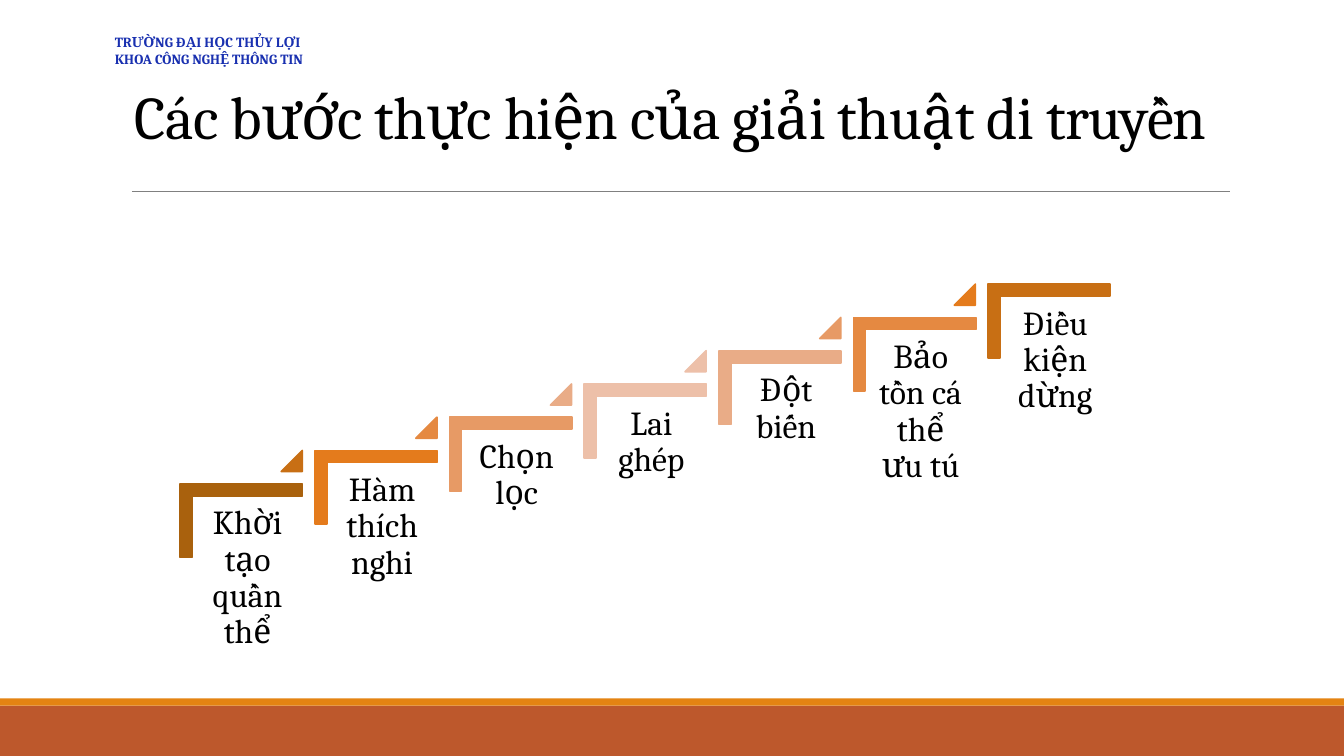
"""Build the slide listing the steps of a genetic algorithm."""
from pptx import Presentation
from pptx.dml.color import RGBColor
from pptx.enum.shapes import MSO_CONNECTOR, MSO_SHAPE
from pptx.enum.text import MSO_ANCHOR, PP_ALIGN
from pptx.oxml.ns import qn
from pptx.util import Pt
from lxml.etree import SubElement

BLACK = RGBColor(0x00, 0x00, 0x00)
GRAY = RGBColor(0x80, 0x80, 0x80)
BLUE = RGBColor(0x19, 0x30, 0xB0)
RUST = RGBColor(0xBD, 0x58, 0x2C)
AMBER = RGBColor(0xE4, 0x83, 0x12)
BROWN = RGBColor(0xA9, 0x61, 0x0D)
OCHRE = RGBColor(0xC8, 0x6F, 0x14)
ORANGE = RGBColor(0xE4, 0x7B, 0x1C)
TANGERINE = RGBColor(0xE5, 0x89, 0x41)
APRICOT = RGBColor(0xE7, 0x9A, 0x65)
PEACH = RGBColor(0xE9, 0xAC, 0x87)
BLUSH = RGBColor(0xED, 0xC0, 0xA9)

FONT = "Cambria"
STEP_X, STEP_Y = 96.16, -23.76
STEPS = [
    ("Khời tạo quần thể", BROWN, OCHRE),
    ("Hàm thích nghi", ORANGE, TANGERINE),
    ("Chọn lọc", APRICOT, PEACH),
    ("Lai ghép", BLUSH, BLUSH),
    ("Đột biến", PEACH, APRICOT),
    ("Bảo tồn cá thể ưu tú", TANGERINE, ORANGE),
    ("Điều kiện dừng", OCHRE, None),
]


def add_text(s, text, x, y, w, h, size, color=BLACK, bold=False, align=PP_ALIGN.LEFT,
             anchor=MSO_ANCHOR.TOP, spacing=1.0, inset=None, tracking=None):
    """Add a text box with one paragraph per line of text."""
    tf = s.shapes.add_textbox(Pt(x), Pt(y), Pt(w), Pt(h)).text_frame
    tf.word_wrap = True
    tf.vertical_anchor = anchor
    if inset is not None:
        tf.margin_left = tf.margin_right = tf.margin_top = tf.margin_bottom = Pt(inset)
    for i, line in enumerate(text.split("\n")):
        p = tf.add_paragraph() if i else tf.paragraphs[0]
        p.alignment = align
        p.line_spacing = spacing
        r = p.add_run()
        r.text = line
        r.font.name = FONT
        r.font.size = Pt(size)
        r.font.bold = bold
        r.font.color.rgb = color
        if tracking is not None:
            r._r.get_or_add_rPr().set("spc", str(tracking))


def add_solid(s, kind, x, y, w, h, color, outlined=True, adjustments=(), rotation=0):
    """Add a preset shape in a single colour."""
    sp = s.shapes.add_shape(kind, Pt(x), Pt(y), Pt(w), Pt(h))
    sp.shadow.inherit = False
    sp.rotation = rotation
    sp.fill.solid()
    sp.fill.fore_color.rgb = color
    if outlined:
        sp.line.color.rgb = color
        sp.line.width = Pt(1.25)
    else:
        sp.line.fill.background()
    for i, value in enumerate(adjustments):
        sp.adjustments[i] = value


def add_rule(s, x1, x2, y):
    """Add the thin horizontal line under the title."""
    c = s.shapes.add_connector(MSO_CONNECTOR.STRAIGHT, Pt(x1), Pt(y), Pt(x2), Pt(y))
    c.line.color.rgb = GRAY
    c.line.width = Pt(0.5)
    SubElement(c._element.spPr, qn("a:effectLst"))


def add_step(s, index, label, color, marker_color):
    """Add one stair with its label and the marker leading upwards."""
    dx, dy = index * STEP_X, index * STEP_Y
    add_solid(s, MSO_SHAPE.CORNER, 146.2 + dx, 328.3 + dy, 52.6, 87.3, color,
              adjustments=(0.161, 0.161), rotation=90)
    add_text(s, label, 137.5 + dx, 354.2 + dy, 78.6, 69, 24,
             align=PP_ALIGN.CENTER, spacing=0.9, inset=7.2)
    if marker_color is not None:
        add_solid(s, MSO_SHAPE.ISOSCELES_TRIANGLE, 200.9 + dx, 321.8 + dy, 15, 15,
                  marker_color, adjustments=(1,))


def main():
    """Create the presentation and save it."""
    prs = Presentation()
    prs.slide_width, prs.slide_height = Pt(960), Pt(540)
    s = prs.slides.add_slide(prs.slide_layouts[6])
    add_solid(s, MSO_SHAPE.RECTANGLE, 0, 504, 960, 36, RUST, outlined=False)
    add_solid(s, MSO_SHAPE.RECTANGLE, 0, 498.8, 960, 5.2, AMBER, outlined=False)
    add_rule(s, 94.2, 878.8, 136.8)
    add_text(s, "Các bước thực hiện của giải thuật di truyền", 53.3, 57.6, 851.8, 54.7, 43.2,
             align=PP_ALIGN.CENTER, anchor=MSO_ANCHOR.BOTTOM, spacing=0.85, tracking=-50)
    add_text(s, "TRƯỜNG ĐẠI HỌC THỦY LỢI\nKHOA CÔNG NGHỆ THÔNG TIN",
             74.9, 20.2, 183.6, 31.7, 10, color=BLUE, bold=True)
    for i, step in enumerate(STEPS):
        add_step(s, i, *step)
    prs.save("out.pptx")


if __name__ == "__main__":
    main()
